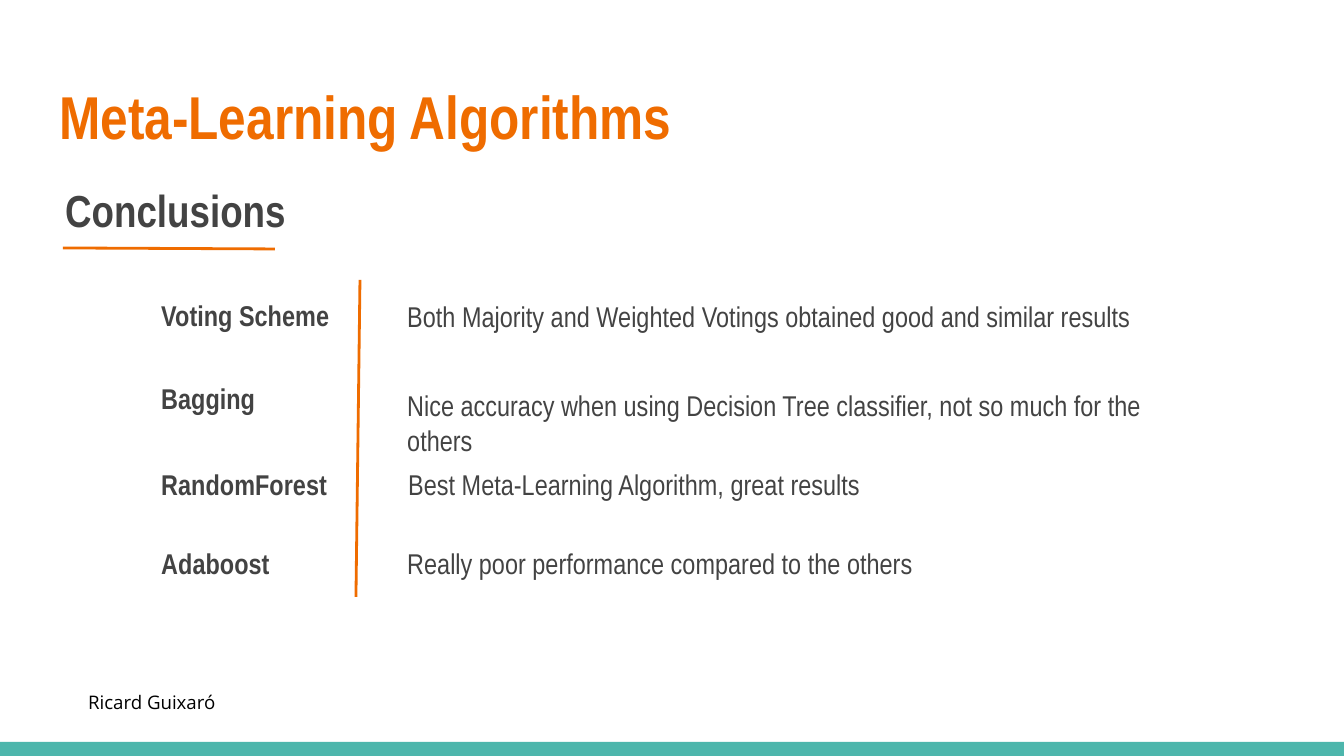
"""Build the Meta-Learning Algorithms conclusions slide."""
from dataclasses import dataclass

from lxml import etree
from pptx import Presentation
from pptx import util as u
from pptx.dml.color import RGBColor
from pptx.enum import shapes, text
from pptx.oxml.ns import qn


@dataclass(frozen=True)
class Theme:
    """Colours, fonts and type sizes."""
    orange: str = "EF6C00"
    grey: str = "434343"
    teal: str = "4DB6AC"
    black: str = "000000"
    heading_font: str = "Arial Narrow"
    footer_font: str = "Open Sans"
    title_size: float = 32.4
    subtitle_size: float = 24
    row_size: float = 15.3
    footer_size: float = 10
    line_width: float = 1.5


class SlideBuilder:
    """Draws styled elements on one slide, measured in px."""
    SCALE = u.Inches(10) / 1344

    def __init__(self, presentation, theme):
        """Set the slide size and add a title-only slide."""
        self.theme = theme
        presentation.slide_width, presentation.slide_height = self.emu(1344, 756)
        self.slide = presentation.slides.add_slide(presentation.slide_layouts[5])

    def emu(self, *lengths):
        """Turn px lengths into EMU."""
        return [round(length * self.SCALE) for length in lengths]

    def set_text(self, shape, words, size, color, bold=False, font=None):
        """Fill a text shape with one styled paragraph."""
        frame = shape.text_frame
        frame.word_wrap = True
        frame.auto_size = text.MSO_AUTO_SIZE.NONE
        frame.vertical_anchor = text.MSO_ANCHOR.TOP
        frame.margin_left = frame.margin_right = u.Inches(0.1)
        frame.margin_top = frame.margin_bottom = u.Inches(0.1)
        frame.text = words
        paragraph = frame.paragraphs[0]
        paragraph.alignment = text.PP_ALIGN.LEFT
        paragraph.font.name = font or self.theme.heading_font
        paragraph.font.size = u.Pt(size)
        paragraph.font.bold = bold
        paragraph.font.color.rgb = RGBColor.from_string(color)

    def title(self, box, words):
        """Place and style the title placeholder."""
        shape = self.slide.shapes.title
        shape.left, shape.top, shape.width, shape.height = self.emu(*box)
        self.set_text(shape, words, self.theme.title_size, self.theme.orange, bold=True)

    def label(self, box, words, size, color, bold=False, font=None):
        """Add a text box."""
        shape = self.slide.shapes.add_textbox(*self.emu(*box))
        self.set_text(shape, words, size, color, bold, font)

    def bar(self, box, color):
        """Add a plain filled rectangle."""
        shape = self.slide.shapes.add_shape(
            shapes.MSO_SHAPE.RECTANGLE, *self.emu(*box))
        shape.shadow.inherit = False
        shape.fill.solid()
        shape.fill.fore_color.rgb = RGBColor.from_string(color)
        shape.line.fill.background()

    def rule(self, *ends):
        """Add a straight orange line."""
        connector = self.slide.shapes.add_connector(
            shapes.MSO_CONNECTOR.STRAIGHT, *self.emu(*ends))
        connector.line.width = u.Pt(self.theme.line_width)
        connector.line.color.rgb = RGBColor.from_string(self.theme.orange)
        properties = connector.element.find(qn("p:spPr"))
        etree.SubElement(properties, qn("a:effectLst"))


ROWS = [
    ("Voting Scheme", 285, 394, 286,
     "Both Majority and Weighted Votings obtained good and similar results"),
    ("Bagging", 368, 394, 375,
     "Nice accuracy when using Decision Tree classifier, not so much for the others"),
    ("RandomForest", 454, 395, 454,
     "Best Meta-Learning Algorithm, great results"),
    ("Adaboost", 533, 394, 533,
     "Really poor performance compared to the others"),
]


def main():
    """Compose and save the slide."""
    theme = Theme()
    presentation = Presentation()
    builder = SlideBuilder(presentation, theme)
    builder.bar((0, 742, 1344, 14), theme.teal)
    builder.title((46, 66, 1252, 103), "Meta-Learning Algorithms")
    builder.label((75, 677, 281, 50), "Ricard Guixaró", theme.footer_size,
                  theme.black, font=theme.footer_font)
    builder.label((52, 169, 328, 90), "Conclusions", theme.subtitle_size,
                  theme.grey, bold=True)
    builder.rule(63, 248, 275, 249)
    builder.rule(360, 280, 356, 597)
    for name, name_top, finding_left, finding_top, finding in ROWS:
        builder.label((148, name_top, 239, 64), name, theme.row_size,
                      theme.grey, bold=True)
        builder.label((finding_left, finding_top, 824, 64), finding,
                      theme.row_size, theme.grey)
    presentation.save("out.pptx")


if __name__ == "__main__":
    main()
